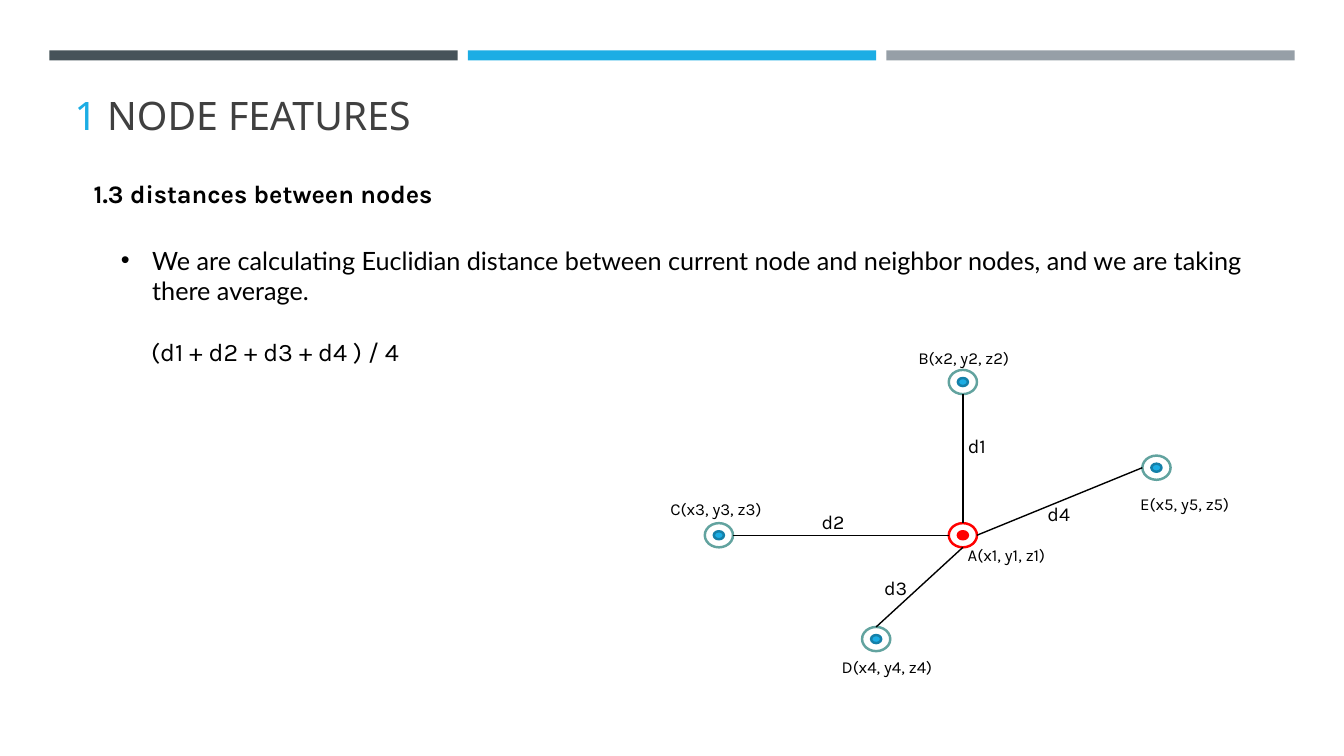
"""Build a slide about the average distance between a node and its neighbors."""
from dataclasses import dataclass

from lxml import etree
from pptx import Presentation
from pptx import util as u
from pptx.dml.color import RGBColor
from pptx.enum import shapes, text
from pptx.oxml.ns import qn


@dataclass(frozen=True)
class Theme:
    bars: tuple = ("465359", "1CADE4", "969FA7")
    accent: str = "1CADE4"
    accent_edge: str = "1580A9"
    ring: str = "62A39F"
    current: str = "FF0000"
    paper: str = "FFFFFF"
    ink: str = "000000"
    heading: str = "404040"
    title_font: str = "Noto Sans"
    body_font: str = "Lato"
    label_font: str = "Karla"
    title_size: int = 28
    body_size: int = 18
    distance_size: int = 14
    node_size: int = 12


THEME = Theme()
TITLE = [("1 ", THEME.accent), ("NODE FEATURES", THEME.heading)]
SUBTITLE = "1.3 distances between nodes"
BODY = [
    ("We are calculating Euclidian distance between current node and neighbor nodes, "
     "and we are taking there average.",
     THEME.body_font, {"marL": u.Inches(0.31), "indent": -u.Inches(0.31)}, 0),
    ("(d1 + d2 + d3 + d4 ) / 4",
     THEME.label_font, {"marL": u.Inches(0.3), "indent": 0}, 22),
]
NODES = {
    "A": ((9.55, 5.31), "A(x1, y1, z1)", (9.5, 5.36)),
    "B": ((9.55, 3.79), "B(x2, y2, z2)", (9.01, 3.4)),
    "C": ((7.13, 5.31), "C(x3, y3, z3)", (6.55, 4.9)),
    "D": ((8.69, 6.34), "D(x4, y4, z4)", (8.25, 6.47)),
    "E": ((11.47, 4.64), "E(x5, y5, z5)", (11.21, 4.85)),
}
DISTANCES = [
    ("d1", "B", (0, -1), (9.5, 4.26)),
    ("d2", "C", (-1, 0), (8.05, 5.01)),
    ("d3", "D", (0, 1), (8.67, 5.66)),
    ("d4", "E", (1, 0), (10.29, 4.93)),
]
RING_SIZE, DOT_SIZE = (0.28, 0.24), (0.1, 0.08)
BAR_LEFT, BAR_TOP, BAR_WIDTH, BAR_HEIGHT, BAR_STEP = 0.49, 0.5, 4.05, 0.1, 4.15


def inches(*lengths):
    return [u.Inches(length) for length in lengths]


def add_run(paragraph, wording, font, size, color, bold=False):
    run = paragraph.add_run()
    run.text = wording
    formats = {"name": font, "size": u.Pt(size), "bold": bold}
    for name, value in formats.items():
        setattr(run.font, name, value)
    run.font.color.rgb = RGBColor.from_string(color)


def add_label(parent, wording, box, size, bold=False):
    frame = parent.add_textbox(*inches(*box)).text_frame
    frame.word_wrap = True
    add_run(frame.paragraphs[0], wording, THEME.label_font, size, THEME.ink, bold)


def add_solid(parent, kind, box, fill, line=None):
    shape = parent.add_shape(kind, *inches(*box))
    shape.shadow.inherit = False
    shape.fill.solid()
    shape.fill.fore_color.rgb = RGBColor.from_string(fill)
    if line:
        shape.line.color.rgb = RGBColor.from_string(line)
        shape.line.width = u.Pt(1.75)
    else:
        shape.line.fill.background()


def add_circle(parent, center, size, fill, line):
    corner = [middle - length / 2 for middle, length in zip(center, size)]
    add_solid(parent, shapes.MSO_SHAPE.OVAL, (*corner, *size), fill, line)


def ring_point(center, side):
    return [middle + way * length / 2
            for middle, way, length in zip(center, side, RING_SIZE)]


def add_edge(parent, start, end):
    edge = parent.add_connector(shapes.MSO_CONNECTOR.STRAIGHT, *inches(*start, *end))
    edge.line.color.rgb = RGBColor.from_string(THEME.ink)
    edge.line.width = u.Pt(1)
    etree.SubElement(edge.line._get_or_add_ln().getparent(), qn("a:effectLst"))


def place(placeholder, box, anchor):
    positions = dict(zip(("left", "top", "width", "height"), inches(*box)))
    for name, value in positions.items():
        setattr(placeholder, name, value)
    frame = placeholder.text_frame
    formats = {"word_wrap": True, "auto_size": text.MSO_AUTO_SIZE.NONE,
               "vertical_anchor": anchor}
    for name, value in formats.items():
        setattr(frame, name, value)
    return frame


def fill_title(slide):
    frame = place(slide.shapes.title, (0.64, 0.77, 12.06, 0.65), text.MSO_ANCHOR.BOTTOM)
    paragraph = frame.paragraphs[0]
    paragraph.alignment = text.PP_ALIGN.LEFT
    for wording, color in TITLE:
        add_run(paragraph, wording, THEME.title_font, THEME.title_size, color)


def fill_body(slide):
    frame = place(slide.placeholders[1], (1.1, 2.38, 11.37, 1.92), text.MSO_ANCHOR.TOP)
    for index, (wording, font, indents, gap) in enumerate(BODY):
        paragraph = frame.add_paragraph() if index else frame.paragraphs[0]
        paragraph.space_before = u.Pt(gap)
        add_run(paragraph, wording, font, THEME.body_size, THEME.ink)
        properties = paragraph._p.get_or_add_pPr()
        for name, value in indents.items():
            properties.set(name, str(int(value)))
        if indents["indent"]:
            etree.SubElement(properties, qn("a:buFont"), typeface="Arial")
            etree.SubElement(properties, qn("a:buChar"), char="•")
        else:
            etree.SubElement(properties, qn("a:buNone"))


def draw_graph(slide):
    graph = slide.shapes.add_group_shape().shapes
    for name, (center, wording, corner) in NODES.items():
        current = name == "A"
        ring = THEME.current if current else THEME.ring
        dot = THEME.current if current else THEME.accent
        dot_edge = THEME.current if current else THEME.accent_edge
        add_circle(graph, center, RING_SIZE, THEME.paper, ring)
        add_circle(graph, center, DOT_SIZE, dot, dot_edge)
        add_label(graph, wording, (*corner, 1.17, 0.27), THEME.node_size)
    for wording, neighbor, side, corner in DISTANCES:
        opposite = [-way for way in side]
        add_edge(graph, ring_point(NODES["A"][0], side),
                 ring_point(NODES[neighbor][0], opposite))
        add_label(graph, wording, (*corner, 0.49, 0.34), THEME.distance_size)


presentation = Presentation()
presentation.slide_width, presentation.slide_height = inches(13.33, 7.5)
slide = presentation.slides.add_slide(presentation.slide_layouts[1])
for index, color in enumerate(THEME.bars):
    bar = (BAR_LEFT + index * BAR_STEP, BAR_TOP, BAR_WIDTH, BAR_HEIGHT)
    add_solid(slide.shapes, shapes.MSO_SHAPE.RECTANGLE, bar, color)
fill_title(slide)
add_label(slide.shapes, SUBTITLE, (0.83, 1.72, 3.71, 0.4), THEME.body_size, bold=True)
fill_body(slide)
draw_graph(slide)
presentation.save("out.pptx")
